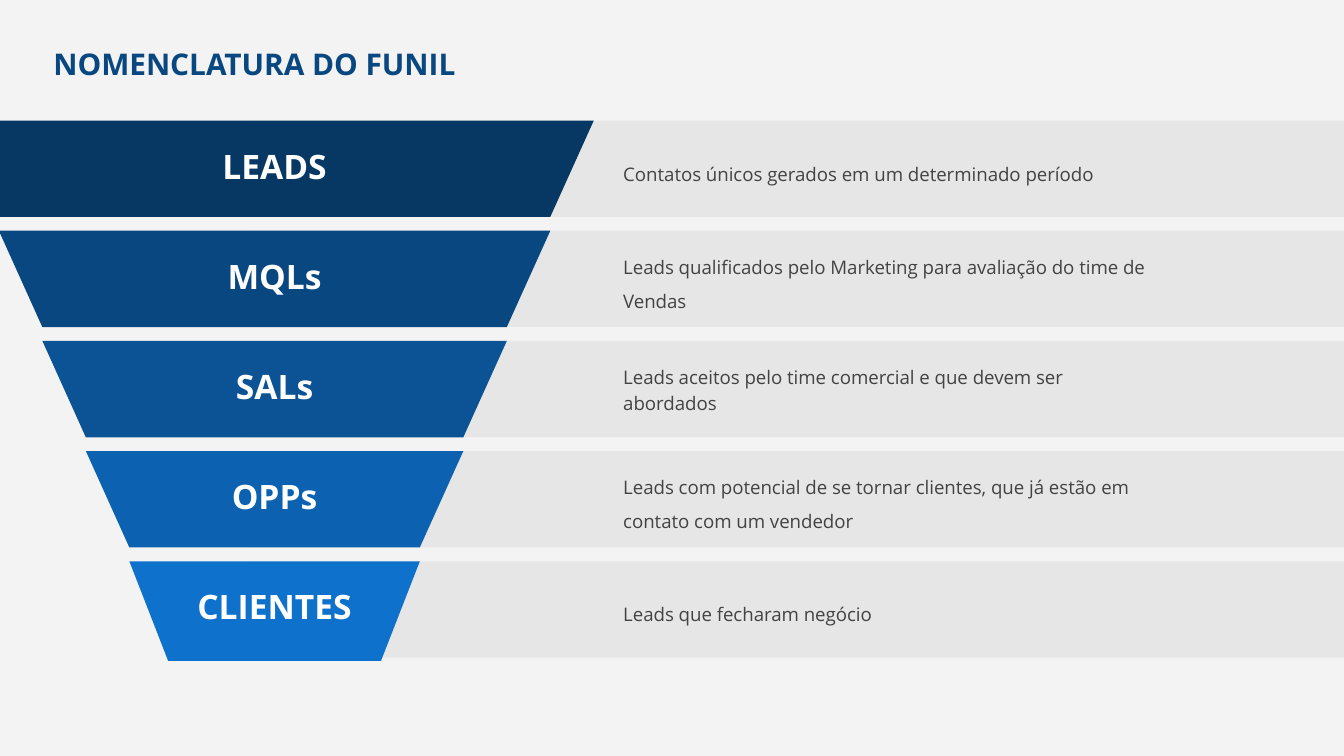
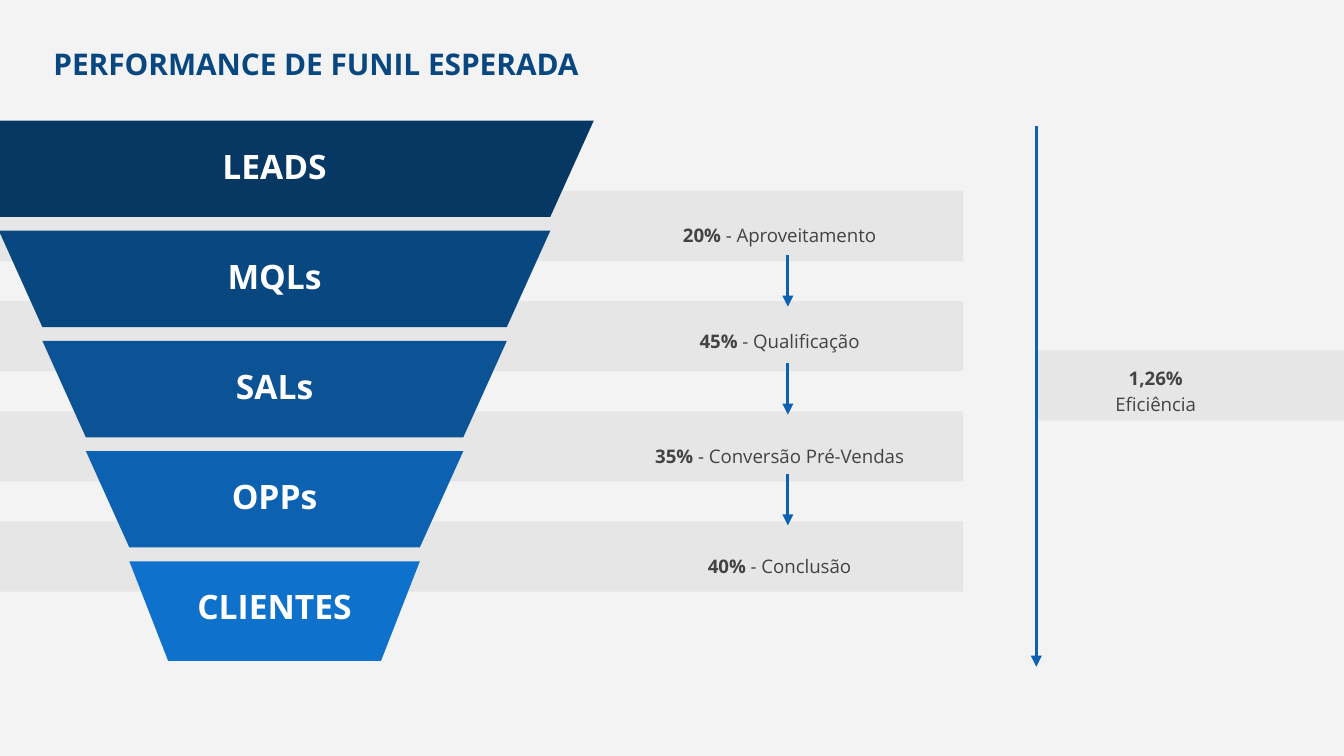
from lxml.etree import SubElement
from pptx import Presentation
from pptx.dml.color import RGBColor
from pptx.enum.shapes import MSO_CONNECTOR as Connector, MSO_SHAPE as Shape
from pptx.enum.text import MSO_ANCHOR as Anchor, MSO_AUTO_SIZE as AutoSize, PP_ALIGN as Align
from pptx.oxml.ns import qn
from pptx.util import Pt

SLIDE_WIDTH, SLIDE_HEIGHT = 720, 405
ROW_TOP, ROW_PITCH, ROW_HEIGHT = 64.6, 59.04, 51.6
FUNNEL_CENTER, FUNNEL_HALF_WIDTH, FUNNEL_STEP = 147.1, 171, 23.3
STAGES = [
    ("LEADS", "073763"),
    ("MQLs", "094780"),
    ("SALs", "0B5394"),
    ("OPPs", "0C62B0"),
    ("CLIENTES", "0E71CB"),
]
DEFINITIONS = [
    ("Contatos únicos gerados em um determinado período", 1.5),
    ("Leads qualificados pelo Marketing para avaliação do time de Vendas", 1.5),
    ("Leads aceitos pelo time comercial e que devem ser abordados", 1.15),
    ("Leads com potencial de se tornar clientes, que já estão em contato com um vendedor", 1.5),
    ("Leads que fecharam negócio", 1.5),
]
RATES = [
    ("20%", " - Aproveitamento", 1.5),
    ("45%", " - Qualificação", 1.15),
    ("35%", " - Conversão Pré-Vendas", 1.5),
    ("40%", " - Conclusão", 1.5),
]


def rgb(value):
    return RGBColor.from_string(value)


def row_top(row, first=ROW_TOP):
    return first + row * ROW_PITCH


class Deck:
    font = "Open Sans"
    background = "F3F3F3"
    band_color = "E6E6E6"
    title_color = "094780"
    text_color = "434343"
    arrow_color = "0C62B0"

    def __init__(self):
        self.presentation = Presentation()
        self.presentation.slide_width = Pt(SLIDE_WIDTH)
        self.presentation.slide_height = Pt(SLIDE_HEIGHT)
        fill = self.presentation.slide_master.background.fill
        fill.solid()
        fill.fore_color.rgb = rgb(self.background)
        self.slide = None

    def new_slide(self):
        self.slide = self.presentation.slides.add_slide(self.presentation.slide_layouts[5])

    def place(self, shape, left, top, width, height):
        shape.left, shape.top = Pt(left), Pt(top)
        shape.width, shape.height = Pt(width), Pt(height)

    def format_frame(self, frame, anchor):
        frame.word_wrap = True
        frame.auto_size = AutoSize.NONE
        frame.vertical_anchor = anchor
        frame.margin_left = frame.margin_right = Pt(7.2)
        frame.margin_top = frame.margin_bottom = Pt(7.2)

    def format_paragraph(self, paragraph, size, color, bold, align):
        paragraph.alignment = align
        font = paragraph.font
        font.name, font.size, font.bold = self.font, Pt(size), bold
        font.color.rgb = rgb(color)

    def paint(self, shape, color):
        shape.shadow.inherit = False
        shape.fill.solid()
        shape.fill.fore_color.rgb = rgb(color)
        shape.line.fill.background()

    def title(self, text):
        title = self.slide.shapes.title
        self.place(title, 21.4, 17.3, 531.4, 37.4)
        self.format_frame(title.text_frame, Anchor.TOP)
        title.text_frame.text = text
        self.format_paragraph(title.text_frame.paragraphs[0], 16, self.title_color, True, Align.LEFT)

    def band(self, left, top, width, height):
        band = self.slide.shapes.add_shape(Shape.RECTANGLE, Pt(left), Pt(top), Pt(width), Pt(height))
        self.paint(band, self.band_color)

    def text(self, text, left, top, width, height, size=10, color=None,
             bold=False, align=Align.LEFT, spacing=1.0):
        box = self.slide.shapes.add_textbox(Pt(left), Pt(top), Pt(width), Pt(height))
        self.format_frame(box.text_frame, Anchor.MIDDLE)
        paragraph = box.text_frame.paragraphs[0]
        paragraph.add_run().text = text
        paragraph.line_spacing = spacing
        self.format_paragraph(paragraph, size, color or self.text_color, bold, align)
        return paragraph

    def rate(self, value, label, left, top, width, spacing, stacked=False):
        paragraph = self.text(value, left, top, width, ROW_HEIGHT, align=Align.CENTER, spacing=spacing)
        paragraph.runs[0].font.bold = True
        if stacked:
            paragraph.add_line_break()
        paragraph.add_run().text = label

    def arrow(self, x, top, bottom):
        arrow = self.slide.shapes.add_connector(Connector.STRAIGHT, Pt(x), Pt(top), Pt(x), Pt(bottom))
        arrow.line.width = Pt(1.5)
        arrow.line.color.rgb = rgb(self.arrow_color)
        properties = arrow.element.spPr
        SubElement(properties.find(qn("a:ln")), qn("a:tailEnd"), type="triangle")
        SubElement(properties, qn("a:effectLst"))

    def trapezoid(self, center, top, height, half_top, half_bottom, color):
        corners = [
            (center - half_top, top),
            (center + half_top, top),
            (center + half_bottom, top + height),
            (center - half_bottom, top + height),
        ]
        points = [(Pt(x), Pt(y)) for x, y in corners]
        builder = self.slide.shapes.build_freeform(*points[0])
        builder.add_line_segments(points[1:], close=True)
        self.paint(builder.convert_to_shape(), color)

    def funnel(self):
        for row, (name, color) in enumerate(STAGES):
            half_top = FUNNEL_HALF_WIDTH - row * FUNNEL_STEP
            half_bottom, height = half_top - FUNNEL_STEP, ROW_HEIGHT
            if row == len(STAGES) - 1:
                half_bottom, height = 57, 53.4
            self.trapezoid(FUNNEL_CENTER, row_top(row), height, half_top, half_bottom, color)
            self.text(name, FUNNEL_CENTER - 56.2, row_top(row), 112.4, 48.3,
                      size=18, color="FFFFFF", bold=True, align=Align.CENTER)


def build_nomenclature(deck):
    deck.new_slide()
    for row in range(len(STAGES)):
        deck.band(132.5, row_top(row), SLIDE_WIDTH - 132.5, ROW_HEIGHT)
    deck.title("NOMENCLATURA DO FUNIL")
    deck.funnel()
    for row, (definition, spacing) in enumerate(DEFINITIONS):
        deck.text(definition, 326.8, row_top(row, 64.2), 296, ROW_HEIGHT, spacing=spacing)


def build_performance(deck):
    deck.new_slide()
    deck.band(555.2, 187.7, SLIDE_WIDTH - 555.2, 37.6)
    for row in range(len(RATES)):
        deck.band(-23.8, row_top(row, 102.3), 539.8, 37.6)
    deck.title("PERFORMANCE DE FUNIL ESPERADA")
    deck.funnel()
    for row, (value, label, spacing) in enumerate(RATES):
        deck.rate(value, label, 314.6, row_top(row, 97.2), 206, spacing)
    for top in (136.6, 194.5, 253.8):
        deck.arrow(422.1, top, top + 27.7)
    deck.arrow(555.2, 67.5, 357.2)
    deck.rate("1,26%", "Eficiência", 559.4, 183, 119.5, 1.15, stacked=True)


def main():
    deck = Deck()
    build_nomenclature(deck)
    build_performance(deck)
    deck.presentation.save("out.pptx")


if __name__ == "__main__":
    main()
